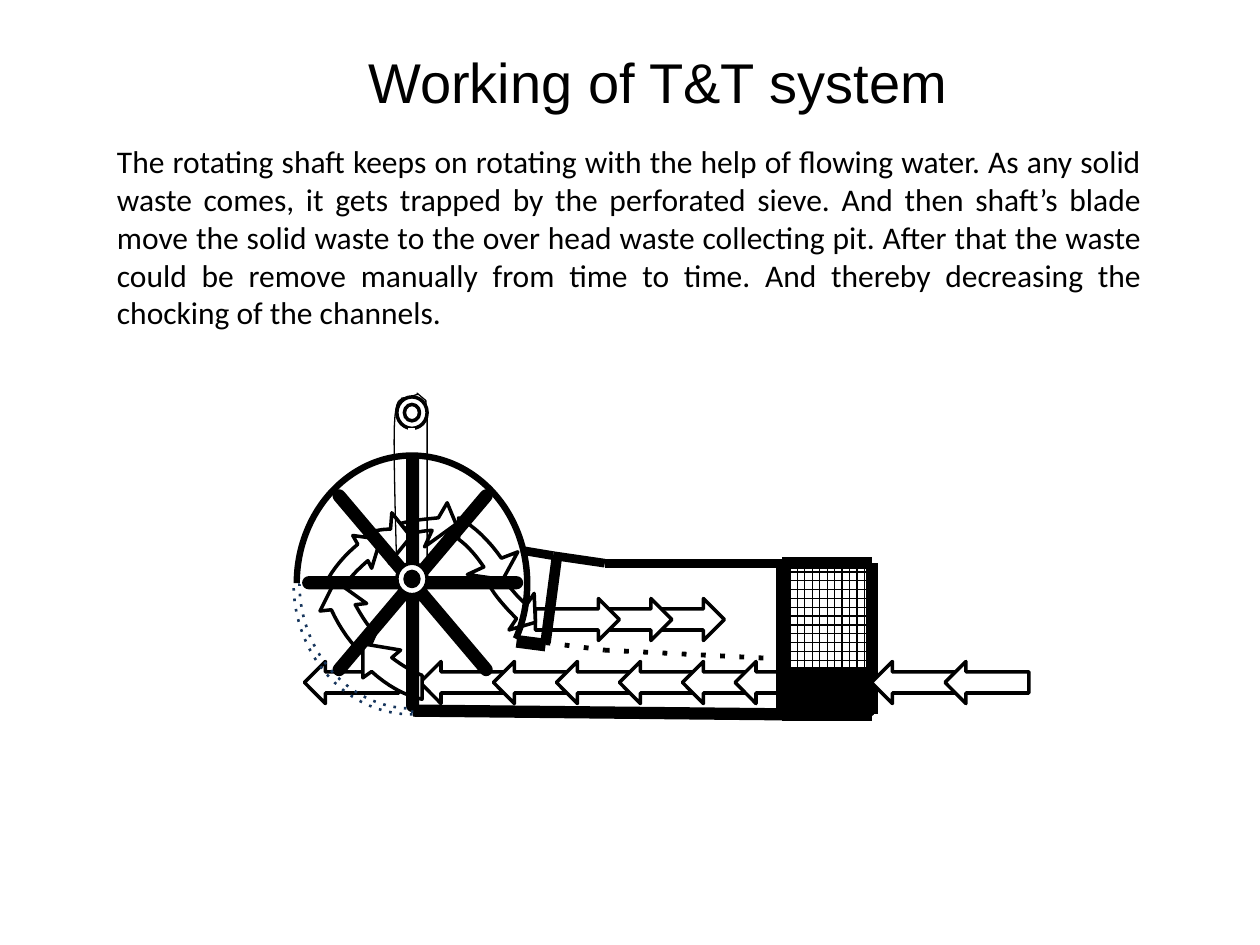
from lxml.etree import SubElement
from pptx import Presentation
from pptx.dml.color import RGBColor
from pptx.enum.dml import MSO_LINE
from pptx.enum.shapes import MSO_CONNECTOR, MSO_SHAPE as Preset
from pptx.enum.text import PP_ALIGN as Align
from pptx.oxml.ns import qn
from pptx.util import Inches, Pt

COLORS = {"black": "000000", "white": "FFFFFF", "blue": "4F81BD", "navy": "17365D"}

# Content: text as (box, runs with sizes, format)
TEXTS = [
    ((1.25, 0.33, 8, 0.64), [(" ", 18), ("Working of T&T system ", 32)],
     "Arial", Align.CENTER),
    ((0.83, 1.08, 8.33, 1.62),
     [("The rotating shaft keeps on rotating with the help of flowing water. As any "
       "solid waste comes, it gets trapped by the perforated sieve. And then shaft’s "
       "blade move the solid waste to the over head waste collecting pit. After that "
       "the waste could be remove manually from time to time. And thereby decreasing "
       "the chocking of the channels.", 18)],
     "Calibri", Align.JUSTIFY),
]

# Water arrows, in twelfths of an inch: (column, width)
GRID = 1 / 12
WATER_ROW, WASTE_ROW, ARROW_HEIGHT = 63, 57, 4
WATER_IN = [(40, 8), (47, 8), (53, 8), (59, 8), (29, 9), (65, 8)]
WASTE_OUT = [(63, 6), (58, 6), (51, 8)]
WATER_AT_SIEVE = [(70, 8), (83, 8), (90, 8)]

# Curved arrows: two numbers make a corner, six a Bézier curve
CURVED_ARROWS = [
    [(3.88, 4.64), (3.93, 4.73, 4.01, 4.82, 4.1, 4.91), (4.04, 5), (4.25, 4.94),
     (4.24, 4.71), (4.18, 4.8), (4.12, 4.75, 4.07, 4.69, 4.03, 4.64)],
    [(3.64, 4.11), (3.77, 4.18, 3.88, 4.29, 3.98, 4.43), (4.11, 4.38), (3.99, 4.6),
     (3.71, 4.56), (3.84, 4.5), (3.78, 4.41, 3.71, 4.33, 3.64, 4.28)],
    [(3.16, 4.16), (3.26, 4.13, 3.37, 4.12, 3.48, 4.11), (3.55, 3.99), (3.62, 4.16),
     (3.37, 4.34), (3.43, 4.21), (3.38, 4.21, 3.33, 4.22, 3.29, 4.23)],
    [(2.92, 4.23), (2.98, 4.21, 3.04, 4.2, 3.1, 4.2), (3.11, 4.07), (3.26, 4.26),
     (3.09, 4.47), (3.09, 4.35), (3.07, 4.35, 3.04, 4.35, 3.01, 4.36)],
    [(2.59, 4.62), (2.64, 4.52, 2.73, 4.41, 2.84, 4.32), (2.8, 4.25), (3.02, 4.28),
     (2.95, 4.51), (2.92, 4.45), (2.85, 4.51, 2.79, 4.57, 2.75, 4.63)],
    [(2.9, 5.21), (2.79, 5.12, 2.7, 4.99, 2.63, 4.84), (2.54, 4.85), (2.66, 4.61),
     (2.91, 4.79), (2.82, 4.8), (2.87, 4.89, 2.92, 4.97, 2.98, 5.03)],
    [(3.35, 5.55), (3.21, 5.52, 3.07, 5.44, 2.95, 5.33), (2.88, 5.38), (2.88, 5.11),
     (3.18, 5.16), (3.11, 5.22), (3.19, 5.28, 3.27, 5.33, 3.35, 5.36)],
]
BELT = [
    (3.13, 3.38), (3.12, 3.63, 3.15, 4.43, 3.15, 4.63), (3.15, 4.58),
    (3.16, 4.61), (3.16, 4.63, 3.17, 4.68, 3.19, 4.7),
    (3.21, 4.72, 3.24, 4.74, 3.27, 4.73), (3.3, 4.73, 3.35, 4.71, 3.37, 4.69),
    (3.39, 4.67, 3.4, 4.63, 3.4, 4.61), (3.39, 4.57), (3.39, 3.29),
    (3.38, 3.19), (3.38, 3.18), (3.31, 3.12), (3.32, 3.13),
    (3.31, 3.13, 3.28, 3.14, 3.26, 3.15), (3.19, 3.16),
    (3.18, 3.19, 3.14, 3.14, 3.13, 3.38),
]

# Straight parts: (from, to, width, dotted)
TROUGH = [
    ((4.33, 5.1), (4.8, 5.16), 2.75, True),
    ((4.42, 4.42), (4.33, 5.1), 6, False),
    ((4.39, 4.41), (4.8, 4.47), 5, False),
    ((4.8, 4.47), (6.21, 4.47), 5, False),
    ((4.8, 5.16), (6.21, 5.23), 2.75, True),
]
CHANNEL = [
    ((3.28, 5.64), (6.27, 5.67), 7, False),
    ((4.1, 5.09), (4.33, 5.12), 7.25, False),
    ((4.15, 4.37), (4.39, 4.41), 5, False),
]
WHEEL = (2.33, 3.59, 1.88, 2.08)
SIEVE = {"left": 6.21, "right": 6.92, "top": 4.47, "sill": 5.31, "bottom": 5.67}
SIEVE_CELLS = 12

presentation = Presentation()
presentation.slide_width, presentation.slide_height = Inches(10), Inches(7.5)
slide = presentation.slides.add_slide(presentation.slide_layouts[6])
canvas = slide.shapes


def rgb(name):
    return RGBColor.from_string(COLORS[name])


def set_line(shape, color, width, dotted=False):
    if not color:
        shape.line.fill.background()
        return
    shape.line.color.rgb = rgb(color)
    shape.line.width = Pt(width)
    if dotted:
        shape.line.dash_style = MSO_LINE.ROUND_DOT
        shape._element.find(".//" + qn("a:prstDash")).set("val", "dot")


def dress(shape, fill, color, width, dotted=False):
    shape.shadow.inherit = False
    if fill:
        shape.fill.solid()
        shape.fill.fore_color.rgb = rgb(fill)
    else:
        shape.fill.background()
    set_line(shape, color, width, dotted)
    return shape


def add_preset(shapes, preset, box, fill="white", color="black", width=2,
               dotted=False, adjustments=()):
    shape = shapes.add_shape(preset, *map(Inches, box))
    for index, value in enumerate(adjustments):
        shape.adjustments[index] = value
    return dress(shape, fill, color, width, dotted)


def add_line(shapes, start, end, width, dotted=False, color="black"):
    line = shapes.add_connector(MSO_CONNECTOR.STRAIGHT, *map(Inches, (*start, *end)))
    set_line(line, color, width, dotted)
    SubElement(line._element.spPr, qn("a:effectLst"))
    return line


def add_outline(path, fill, width, steps=8):
    points = [path[0]]
    for segment in path[1:]:
        if len(segment) == 2:
            points.append(segment)
            continue
        controls = (points[-1], segment[:2], segment[2:4], segment[4:])
        for step in range(1, steps + 1):
            t = step / steps
            weights = ((1 - t) ** 3, 3 * t * (1 - t) ** 2, 3 * t * t * (1 - t), t ** 3)
            points.append(tuple(sum(w * control[axis] for w, control in zip(weights, controls))
                                for axis in (0, 1)))
    corners = [(Inches(x), Inches(y)) for x, y in points]
    builder = canvas.build_freeform(*corners[0])
    builder.add_line_segments(corners[1:], close=True)
    dress(builder.convert_to_shape(), fill, "black", width)


def add_arrows(arrows, row, flipped=False):
    for column, width in arrows:
        box = [n * GRID for n in (column, row, width, ARROW_HEIGHT)]
        arrow = add_preset(canvas, Preset.LEFT_ARROW, box)
        if flipped:
            arrow._element.spPr.xfrm.set("flipH", "1")


# Flow arrows
add_arrows(WATER_IN, WATER_ROW)
add_arrows(WASTE_OUT, WASTE_ROW, flipped=True)
for path in CURVED_ARROWS:
    add_outline(path, "white", 2)

# Title and description
for box, runs, font_name, alignment in TEXTS:
    frame = canvas.add_textbox(*map(Inches, box)).text_frame
    frame.word_wrap = True
    paragraph = frame.paragraphs[0]
    paragraph.alignment = alignment
    for text, size in runs:
        run = paragraph.add_run()
        run.text = text
        for name, value in {"name": font_name, "size": Pt(size)}.items():
            setattr(run.font, name, value)
        run.font.color.rgb = rgb("black")

# Blades and upper pulley
add_preset(canvas, Preset.STAR_8_POINT, (2.45, 3.65, 1.65, 1.95), "blue", width=7.5,
           adjustments=[0])
add_preset(canvas, Preset.DONUT, (3.15, 3.15, 0.24, 0.25), adjustments=[0.25])
add_line(canvas, (3.27, 3.4), (3.27, 3.59), 4, color="white")

# Trough, wheel casing and channel floor
trough = canvas.add_group_shape().shapes
for part in TROUGH:
    add_line(trough, *part)
add_preset(canvas, Preset.BLOCK_ARC, WHEEL, None, "navy", 1.5, True,
           [53.847, 107.625, 0.025])
add_preset(canvas, Preset.BLOCK_ARC, WHEEL, "black", None,
           adjustments=[108.036, 16.859, 0.027])
for part in CHANNEL:
    add_line(canvas, *part)

# Hub and belt
add_preset(canvas, Preset.DONUT, (3.15, 4.47, 0.24, 0.25), adjustments=[0.271])
add_outline(BELT, None, 0.75)
add_arrows(WATER_AT_SIEVE[:1], WATER_ROW)

# Perforated sieve: sill, mesh, then frame
sieve = canvas.add_group_shape().shapes
left, right, top, sill_top, bottom = SIEVE.values()
sill = add_preset(sieve, Preset.RECTANGLE,
                  (left, sill_top, right - left, bottom - sill_top), "black")
for cell in range(1, SIEVE_CELLS):
    x = left + (right - left) * cell / SIEVE_CELLS
    y = top + (sill_top - top) * cell / SIEVE_CELLS
    upright = add_line(sieve, (x, top), (x, sill_top), 0.75)
    if cell * 2 == SIEVE_CELLS:
        upright.end_connect(sill, 0)
    add_line(sieve, (left, y), (right, y), 0.75)
for x in (left, right):
    add_line(sieve, (x, top), (x, bottom), 7)
for y in (top, bottom):
    add_line(sieve, (left, y), (right, y), 7)
add_arrows(WATER_AT_SIEVE[1:], WATER_ROW)

presentation.save("out.pptx")
